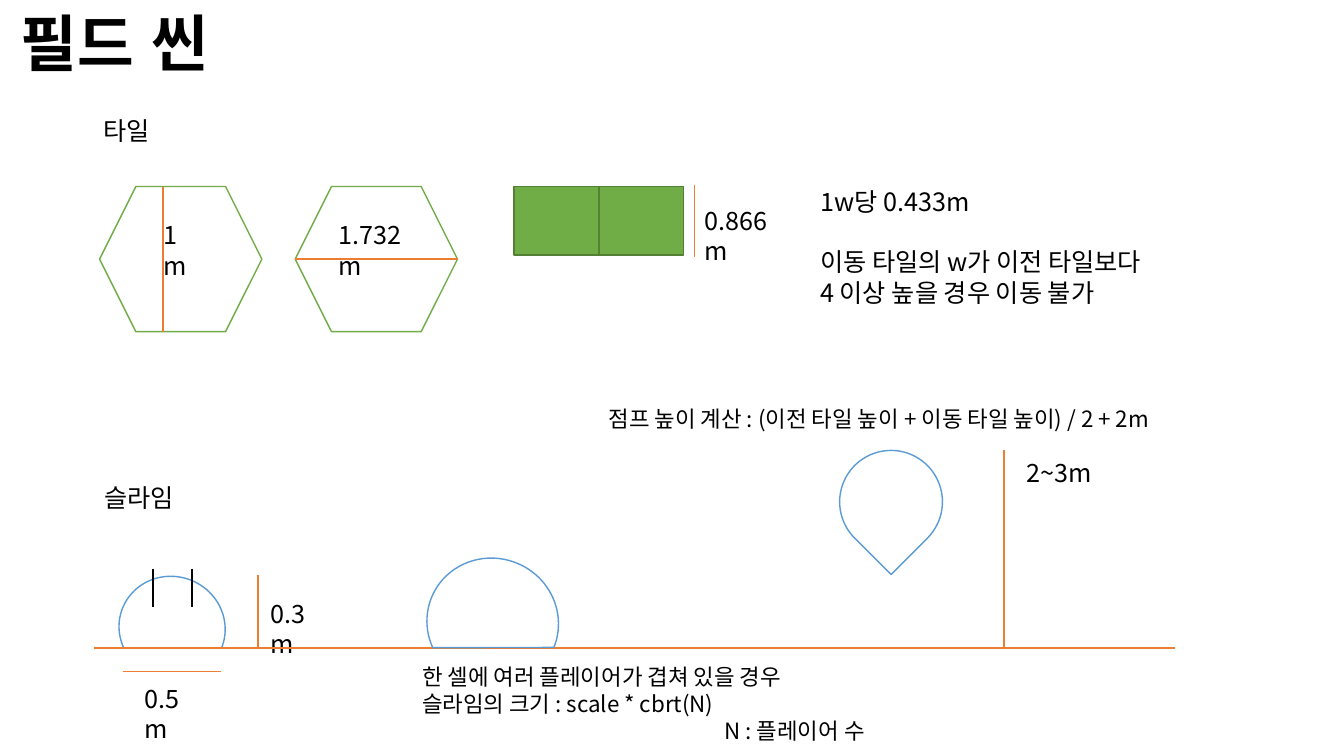
from lxml import etree
from pptx import Presentation
from pptx.dml.color import RGBColor
from pptx.enum.shapes import MSO_CONNECTOR, MSO_SHAPE
from pptx.oxml.ns import qn
from pptx.util import Cm, Pt

STRAIGHT = MSO_CONNECTOR.STRAIGHT
HEXAGON, RECTANGLE = MSO_SHAPE.HEXAGON, MSO_SHAPE.RECTANGLE
CHORD, TEARDROP = MSO_SHAPE.CHORD, MSO_SHAPE.TEAR

BODY_FONT = "Noto Sans CJK KR"
BLACK, WHITE = "000000", "FFFFFF"
GREEN, DARK_GREEN, DIVIDER_GREEN = "70AD47", "538035", "548235"
ORANGE, BLUE = "ED7D31", "5B9BD5"
CHORD_TURN = 112.2


def color(hex_text):
    return RGBColor.from_string(hex_text)


def add_text(page, left, top, width, height, lines, size=18, font=BODY_FONT, bold=False):
    box = page.shapes.add_textbox(Cm(left), Cm(top), Cm(width), Cm(height))
    frame = box.text_frame
    frame.word_wrap = True
    for index, line in enumerate(lines):
        para = frame.paragraphs[0] if index == 0 else frame.add_paragraph()
        span = para.add_run()
        span.text = line
        span.font.color.rgb = color(BLACK)
        formats = {"size": Pt(size), "name": font, "bold": bold}
        for name, value in formats.items():
            setattr(span.font, name, value)
        east_asian = etree.SubElement(span.font._element, qn("a:ea"))
        east_asian.set("typeface", font)
    return frame.paragraphs


def add_outline(page, kind, left, top, width, height, line, fill=WHITE, turn=0):
    shape = page.shapes.add_shape(kind, Cm(left), Cm(top), Cm(width), Cm(height))
    shape.shadow.inherit = False
    shape.rotation = turn
    shape.fill.solid()
    shape.fill.fore_color.rgb = color(fill)
    shape.line.color.rgb = color(line)
    shape.line.width = Pt(1)


def add_line(page, x1, y1, x2, y2, line=ORANGE, width=1):
    connector = page.shapes.add_connector(STRAIGHT, Cm(x1), Cm(y1), Cm(x2), Cm(y2))
    connector.line.color.rgb = color(line)
    connector.line.width = Pt(width)
    etree.SubElement(connector._element.spPr, qn("a:effectLst"))


def add_tiles(page, left, top):
    add_text(page, left, top, 1.8, 1.02, ["타일"])
    tile_top, tile_width, tile_height = top + 1.93, 4.09, 3.66
    middle = tile_top + tile_height / 2
    first, second = [left + 0.15 + 4.93 * index for index in range(2)]
    measures = [
        (first, "1m", 1.35, 1.42, (first + 1.6, tile_top, first + 1.6, tile_top + tile_height)),
        (second, "1.732m", 0.84, 2.62, (second, middle, second + tile_width, middle)),
    ]
    for tile_left, label, offset, label_width, ends in measures:
        add_outline(page, HEXAGON, tile_left, tile_top, tile_width, tile_height, GREEN)
        add_line(page, *ends)
        add_text(page, tile_left + offset, tile_top + 0.71, label_width, 1.02, [label])

    side_left, side_width, side_height = left + 10.59, 4.27, 1.73
    center = side_left + side_width / 2
    add_outline(page, RECTANGLE, side_left, tile_top, side_width, side_height, DARK_GREEN, GREEN)
    add_line(page, center, tile_top, center, tile_top + side_height, DIVIDER_GREEN, 1.5)
    measure = left + 15.14
    add_line(page, measure, tile_top - 0.05, measure, tile_top + side_height + 0.05)
    add_text(page, measure, top + 2.28, 2.62, 1.02, ["0.866m"])
    rules = add_text(page, left + 18.06, top + 1.8, 9.58, 3.33, [
        "1w당 0.433m",
        "이동 타일의 w가 이전 타일보다",
        "4 이상 높을 경우 이동 불가",
    ])
    rules[1].space_before = Pt(21.5)


def add_slime(page, left, top):
    ground = top + 4.29
    add_text(page, left, top, 2.44, 1.02, ["슬라임"])
    add_outline(page, CHORD, left + 0.66, top + 2.44, 2.59, 2.69, BLUE, turn=CHORD_TURN)
    add_line(page, left + 0.71, top + 4.88, left + 3.2, top + 4.88)
    add_text(page, left + 1.02, top + 5.05, 1.93, 1.02, ["0.5m"])
    add_line(page, left + 4.12, ground, left + 4.12, top + 2.44)
    add_text(page, left + 4.19, top + 2.9, 1.93, 1.02, ["0.3m"])
    add_line(page, left, ground, left + 27.23, ground)
    for eye in (left + 1.48, left + 2.47):
        add_line(page, eye, top + 2.29, eye, top + 3.25, BLACK, 1.5)


def add_jump(page, left, top):
    add_text(page, left, top, 16.2, 0.94,
             ["점프 높이 계산 : (이전 타일 높이 + 이동 타일 높이) / 2 + 2m"], 16)
    add_outline(page, TEARDROP, left + 6.07, top + 1.27, 2.59, 2.59, BLUE, turn=135)
    add_line(page, left + 10.21, top + 1.27, left + 10.21, top + 6.25)
    add_text(page, left + 10.54, top + 1.32, 2.24, 1.02, ["2~3m"])


def add_stacked_slime(page, left, top):
    add_outline(page, CHORD, left + 0.41, top, 3.23, 3.33, BLUE, turn=CHORD_TURN)
    notes = add_text(page, left, top + 2.57, 12.22, 2.31, [
        "한 셀에 여러 플레이어가 겹쳐 있을 경우",
        "슬라임의 크기 : scale * cbrt(N)",
        "N : 플레이어 수",
    ], 16)
    notes[2]._p.get_or_add_pPr().set("marL", str(Cm(7.62)))


def main():
    deck = Presentation()
    deck.slide_width, deck.slide_height = Cm(33.87), Cm(19.05)
    page = deck.slides.add_slide(deck.slide_layouts[6])
    add_text(page, 0.28, 0, 5.77, 2.13, ["필드 씬"], 44, "Arial", True)
    add_tiles(page, 2.36, 2.77)
    add_slime(page, 2.38, 12.04)
    add_jump(page, 15.09, 10.08)
    add_stacked_slime(page, 10.39, 14.02)
    deck.save("out.pptx")


if __name__ == "__main__":
    main()
